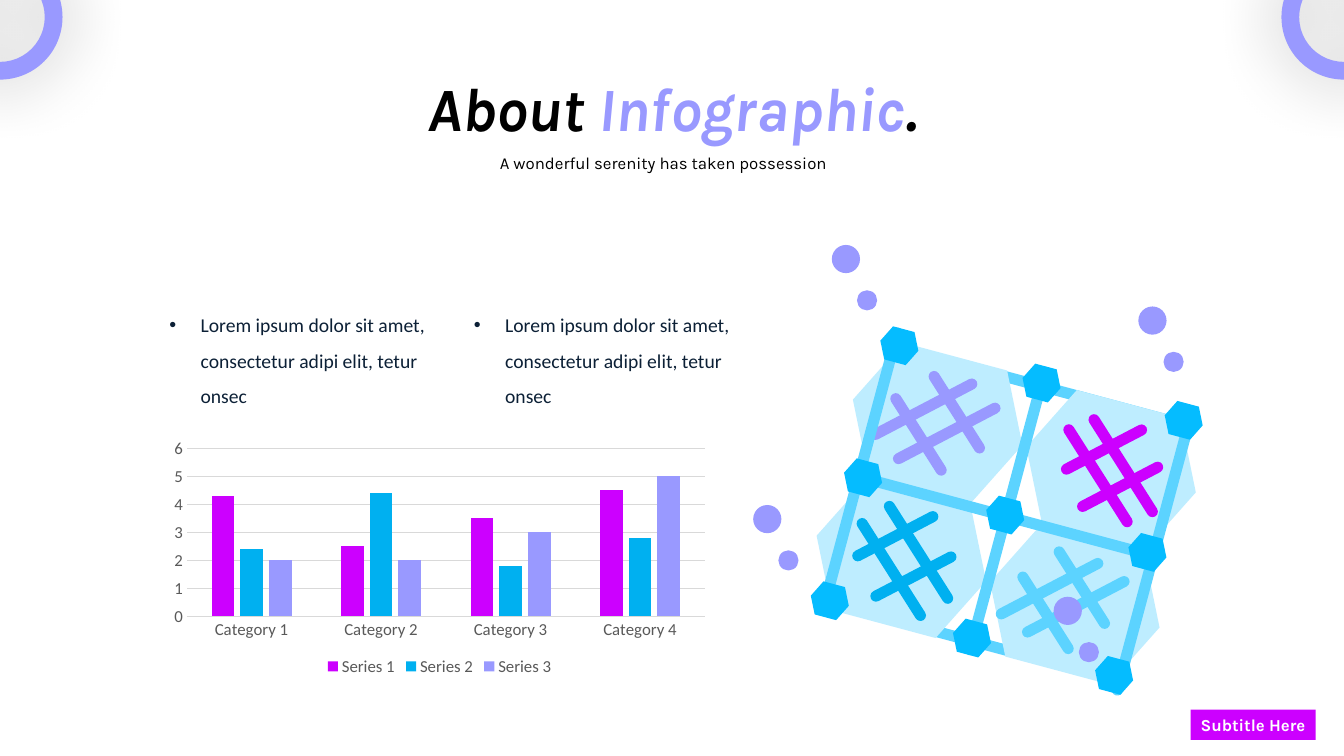
from lxml import etree
from pptx import Presentation
from pptx.chart.data import CategoryChartData
from pptx.dml.color import RGBColor
from pptx.enum.chart import XL_CHART_TYPE, XL_LEGEND_POSITION, XL_TICK_MARK
from pptx.enum.shapes import MSO_SHAPE
from pptx.enum.text import MSO_ANCHOR, MSO_AUTO_SIZE, PP_ALIGN
from pptx.oxml import parse_xml
from pptx.oxml.ns import nsdecls, qn
from pptx.util import Inches, Pt

COLUMNS = XL_CHART_TYPE.COLUMN_CLUSTERED
BOTTOM = XL_LEGEND_POSITION.BOTTOM
NO_TICK = XL_TICK_MARK.NONE
HEXAGON, OVAL, DONUT = MSO_SHAPE.HEXAGON, MSO_SHAPE.OVAL, MSO_SHAPE.DONUT
RECTANGLE, BAR = MSO_SHAPE.RECTANGLE, MSO_SHAPE.ROUNDED_RECTANGLE
TOP = MSO_ANCHOR.TOP
FIT_SHAPE = MSO_AUTO_SIZE.SHAPE_TO_FIT_TEXT
LEFT, CENTER = PP_ALIGN.LEFT, PP_ALIGN.CENTER

THEME = {
    "heading_font": "Karla", "body_font": "Calibri",
    "title_size": 44, "body_size": 14, "small_size": 12,
    "black": "000000", "white": "FFFFFF", "navy": "0C2036",
    "grey": "595959", "grid": "D9D9D9",
    "lilac": "9999FF", "magenta": "CC00FF", "blue": "00B0F0",
    "node": "05BCFF", "rail": "5CD3FF", "pad": "BEEDFF",
}

TITLE = [("About ", "black"), ("Infographic", "lilac"), (".", "black")]
TAGLINE = "A wonderful serenity has taken possession"
LABEL = "Subtitle Here"
BULLET = "Lorem ipsum dolor sit amet, consectetur adipi elit, tetur onsec"
BULLET_LEFTS = [4.7, 1.68]

CATEGORIES = ["Category 1", "Category 2", "Category 3", "Category 4"]
SERIES = [
    ("Series 1", "magenta", (4.3, 2.5, 3.5, 4.5)),
    ("Series 2", "blue", (2.4, 4.4, 1.8, 2.8)),
    ("Series 3", "lilac", (2, 2, 3, 5)),
]

TILT = 15
FLAT, STEEP = -27.6, 57.6
THICKNESS, LONG, SHORT = 0.11, 1.19, 0.95
BACK_RAILS = [(9.64, 6.36), (10.32, 3.83)]
MIDDLE_RAIL = (9.97, 5.12)
UPRIGHT_RAILS = [(9.99, 5.07), (11.45, 5.47), (8.53, 4.68)]
PADS = [(11.02, 4.66), (10.66, 6.0), (8.94, 5.54), (9.3, 4.19)]
HASHES = [
    ("blue", STEEP, [(8.84, 5.65), (9.11, 5.48)], FLAT, [(8.88, 5.32), (9.06, 5.72)]),
    ("rail", FLAT, [(10.67, 6.02), (10.41, 5.84)], STEEP, [(10.73, 5.83), (10.37, 6.08)]),
    ("lilac", FLAT, [(9.39, 4.3), (9.16, 4.06)], STEEP, [(9.49, 4.09), (9.11, 4.31)]),
    ("magenta", STEEP, [(10.89, 4.72), (11.14, 4.62)], FLAT, [(10.95, 4.46), (11.11, 4.83)]),
]
NODE_ROWS = [(8.92, 3.43), (8.56, 4.74), (8.23, 5.96)]
NODE_STEP = (1.41, 0.37)
BUBBLES = [(8.39, 2.57), (11.43, 3.18), (7.61, 5.15), (10.59, 6.06)]
BUBBLE_OFFSET = (0.21, 0.41)
RINGS = [(0, 0.17), (13.33, 0.17)]


def color(name):
    return RGBColor.from_string(THEME[name])


def style_font(font, face, size, tint):
    font.name = THEME[face]
    font.size = Pt(THEME[size])
    font.color.rgb = color(tint)


def add_centered(slide, kind, center, width, height, tint, rotation=0):
    shape = slide.shapes.add_shape(
        kind, Inches(center[0] - width / 2), Inches(center[1] - height / 2),
        Inches(width), Inches(height))
    shape.rotation = rotation
    shape.shadow.inherit = False
    shape.fill.solid()
    shape.fill.fore_color.rgb = color(tint)
    shape.line.fill.background()
    return shape


def add_bar(slide, center, length, tint, rotation):
    bar = add_centered(slide, BAR, center, length, THICKNESS, tint, rotation)
    bar.adjustments[0] = 0.5


def add_lattice(slide):
    for center in BACK_RAILS:
        add_bar(slide, center, 3.04, "rail", TILT)
    for center in PADS:
        add_centered(slide, HEXAGON, center, 1.74, 1.35, "pad", TILT)
    for tint, long_angle, long_bars, short_angle, short_bars in HASHES:
        for center in long_bars:
            add_bar(slide, center, LONG, tint, long_angle)
        for center in short_bars:
            add_bar(slide, center, SHORT, tint, short_angle)
    add_bar(slide, MIDDLE_RAIL, 3.04, "rail", TILT)
    for center in UPRIGHT_RAILS:
        add_bar(slide, center, 2.96, "rail", TILT + 90)
    for left, top in NODE_ROWS:
        for column in range(3):
            center = (left + column * NODE_STEP[0], top + column * NODE_STEP[1])
            add_centered(slide, HEXAGON, center, 0.39, 0.34, "node", TILT)
    for x, y in BUBBLES:
        add_centered(slide, OVAL, (x, y), 0.28, 0.28, "lilac")
        small = (x + BUBBLE_OFFSET[0], y + BUBBLE_OFFSET[1])
        add_centered(slide, OVAL, small, 0.2, 0.2, "lilac")


def add_column_chart(slide):
    data = CategoryChartData()
    data.categories = CATEGORIES
    for name, _, values in SERIES:
        data.add_series(name, values)
    chart = slide.shapes.add_chart(
        COLUMNS, Inches(1.62), Inches(4.3), Inches(5.48), Inches(2.45), data).chart
    style_font(chart.font, "body_font", "small_size", "grey")
    chart.has_title = False
    chart.has_legend = True
    chart.legend.position = BOTTOM
    chart.legend.include_in_layout = False
    plot = chart.plots[0]
    plot.gap_width, plot.overlap = 219, -27
    plot.vary_by_categories = False
    for series, (_, tint, _) in zip(plot.series, SERIES):
        series.format.fill.solid()
        series.format.fill.fore_color.rgb = color(tint)
    values, categories = chart.value_axis, chart.category_axis
    values.minimum_scale, values.maximum_scale, values.major_unit = 0, 6, 1
    for axis in (values, categories):
        axis.major_tick_mark = axis.minor_tick_mark = NO_TICK
    values.format.line.fill.background()
    for line in (values.major_gridlines.format.line, categories.format.line):
        line.color.rgb = color("grid")
        line.width = Pt(0.75)


def add_bullet(slide, left):
    box = slide.shapes.add_textbox(Inches(left), Inches(2.99), Inches(2.62), Inches(1.02))
    frame = box.text_frame
    frame.word_wrap = True
    frame.auto_size = FIT_SHAPE
    frame.margin_left = frame.margin_right = frame.margin_top = frame.margin_bottom = 0
    paragraph = frame.paragraphs[0]
    paragraph.text = BULLET
    properties = paragraph._p.get_or_add_pPr()
    properties.set("marL", str(Inches(0.31)))
    properties.set("indent", str(-Inches(0.31)))
    etree.SubElement(properties, qn("a:buFont")).set("typeface", "Arial")
    etree.SubElement(properties, qn("a:buChar")).set("char", "•")
    paragraph.line_spacing = 1.5
    style_font(paragraph.font, "body_font", "body_size", "navy")


def add_headings(slide):
    title = slide.shapes.title
    title.left, title.top = Inches(2.37), Inches(0.64)
    title.width, title.height = Inches(8.6), Inches(0.84)
    frame = title.text_frame
    frame.vertical_anchor = TOP
    frame.auto_size = FIT_SHAPE
    paragraph = frame.paragraphs[0]
    paragraph.alignment = CENTER
    paragraph.line_spacing = 1.0
    for text, tint in TITLE:
        run = paragraph.add_run()
        run.text = text
        style_font(run.font, "heading_font", "title_size", tint)
        run.font.bold = run.font.italic = True

    box = slide.shapes.add_textbox(Inches(4.37), Inches(1.37), Inches(4.42), Inches(0.37))
    box.text_frame.word_wrap = True
    box.text_frame.auto_size = FIT_SHAPE
    paragraph = box.text_frame.paragraphs[0]
    paragraph.text = TAGLINE
    paragraph.alignment = CENTER
    paragraph.line_spacing = 1.5
    style_font(paragraph.font, "heading_font", "small_size", "black")


def add_label(slide):
    label = add_centered(slide, RECTANGLE, (12.43, 7.19), 1.24, 0.3, "magenta")
    frame = label.text_frame
    frame.word_wrap = False
    frame.auto_size = FIT_SHAPE
    frame.vertical_anchor = TOP
    paragraph = frame.paragraphs[0]
    paragraph.text = LABEL
    paragraph.alignment = LEFT
    style_font(paragraph.font, "heading_font", "small_size", "white")
    paragraph.font.bold = True


def add_ring(slide, center):
    ring = add_centered(slide, DONUT, center, 1.24, 1.24, "lilac")
    ring.adjustments[0] = 0.142
    effects = ring._element.spPr.find(qn("a:effectLst"))
    effects.append(parse_xml(
        f'<a:outerShdw {nsdecls("a")} blurRad="{Pt(49)}" dist="0" dir="0" algn="ctr">'
        f'<a:srgbClr val="{THEME["black"]}"><a:alpha val="33000"/></a:srgbClr></a:outerShdw>'))


def main():
    presentation = Presentation()
    presentation.slide_width, presentation.slide_height = Inches(13.33), Inches(7.5)
    slide = presentation.slides.add_slide(presentation.slide_layouts[5])
    add_lattice(slide)
    add_column_chart(slide)
    for left in BULLET_LEFTS:
        add_bullet(slide, left)
    add_headings(slide)
    add_label(slide)
    for center in RINGS:
        add_ring(slide, center)
    presentation.save("out.pptx")


if __name__ == "__main__":
    main()
